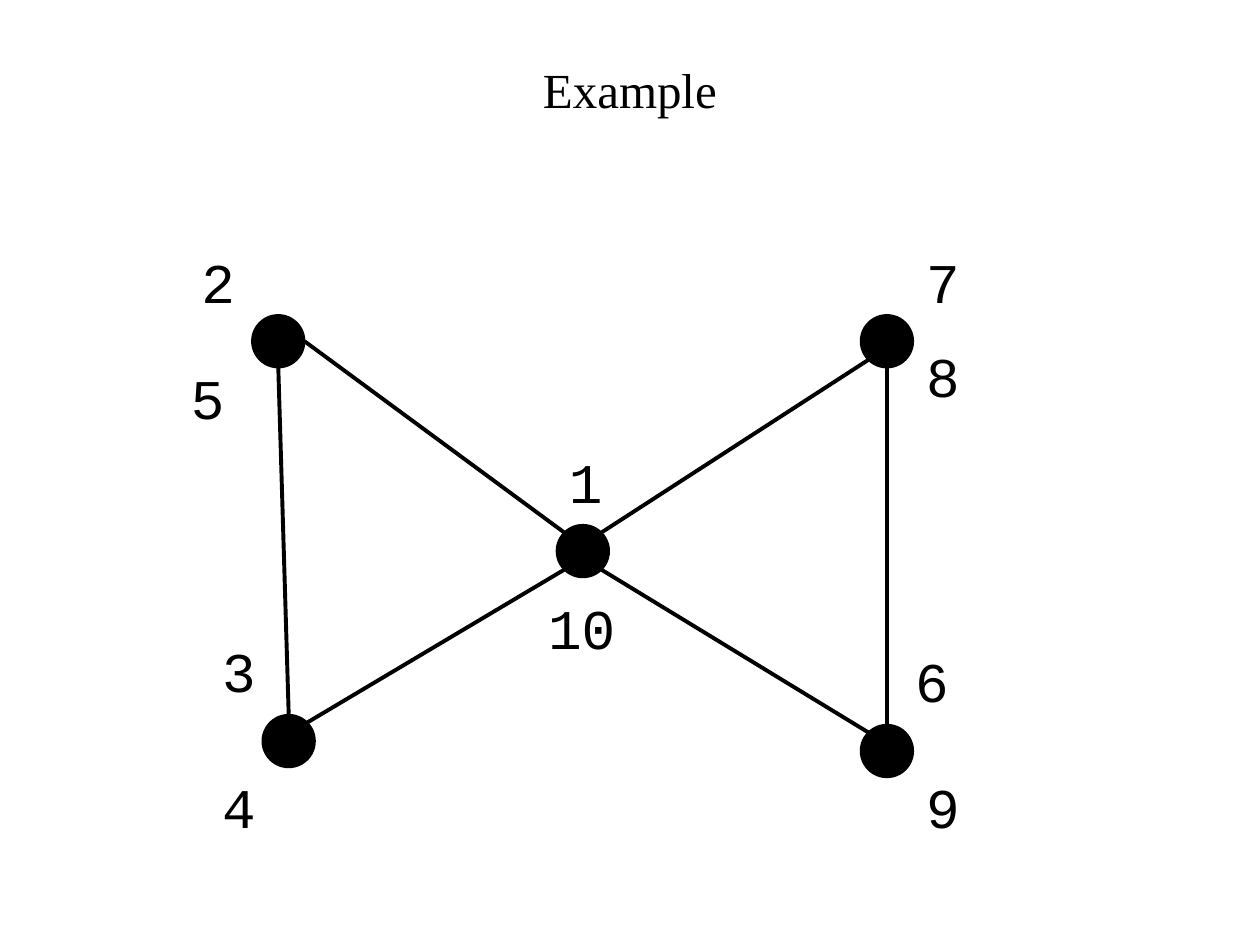
from math import cos, radians, sin

from lxml import etree
from pptx import Presentation
from pptx.dml.color import RGBColor
from pptx.enum.shapes import MSO_CONNECTOR, MSO_SHAPE
from pptx.enum.text import MSO_ANCHOR, MSO_AUTO_SIZE, PP_ALIGN
from pptx.oxml.ns import qn
from pptx.util import Cm, Pt

STRAIGHT = MSO_CONNECTOR.STRAIGHT
OVAL = MSO_SHAPE.OVAL
MIDDLE = MSO_ANCHOR.MIDDLE
GROW = MSO_AUTO_SIZE.SHAPE_TO_FIT_TEXT
LEFT, CENTER = PP_ALIGN.LEFT, PP_ALIGN.CENTER

THEME = {
    "ink": RGBColor(0, 0, 0),
    "title": ("Times New Roman", Pt(28)),
    "label": ("Courier New", Pt(32)),
    "outline": Pt(1),
    "edge": Pt(2.25),
}
TITLE = "Example"
DIAMETER = 1.06
LABEL_HEIGHT = 1.62
DIGIT_WIDTH, LABEL_PADDING = 0.85, 0.42

NODES = {
    "upper left": (5.61, 6.88),
    "lower left": (5.82, 14.94),
    "middle": (11.75, 11.11),
    "upper right": (17.88, 6.88),
    "lower right": (17.88, 15.14),
}
ANGLES = {"E": 0, "SE": 45, "S": 90, "SW": 135, "N": 270, "NW": 225, "NE": 315}
EDGES = [
    ("middle", "SW", "lower left", "NE"),
    ("upper left", "E", "middle", "NW"),
    ("upper right", "SW", "middle", "NE"),
    ("middle", "SE", "lower right", "NW"),
    ("upper left", "S", "lower left", "N"),
    ("upper right", "S", "lower right", "N"),
]
VISITS = [
    ("1", 11.22, 8.89),
    ("2", 3.81, 4.87),
    ("3", 4.23, 12.7),
    ("4", 4.23, 15.45),
    ("5", 3.6, 7.2),
    ("6", 18.2, 12.91),
    ("7", 18.42, 4.87),
    ("8", 18.42, 6.77),
    ("9", 18.42, 15.45),
    ("10", 10.8, 11.85),
]


def rim_point(node, side):
    """Return the point on a node's rim at the given compass side."""
    x, y = NODES[node]
    angle = radians(ANGLES[side])
    return Cm(x + DIAMETER / 2 * cos(angle)), Cm(y + DIAMETER / 2 * sin(angle))


def add_node(slide, x, y):
    """Draw a filled node centred at x, y."""
    node = slide.shapes.add_shape(
        OVAL, Cm(x - DIAMETER / 2), Cm(y - DIAMETER / 2), Cm(DIAMETER), Cm(DIAMETER)
    )
    node.shadow.inherit = False
    node.fill.solid()
    node.fill.fore_color.rgb = THEME["ink"]
    node.line.color.rgb = THEME["ink"]
    node.line.width = THEME["outline"]


def add_edge(slide, start, start_side, end, end_side):
    """Draw a line between the rims of two nodes."""
    edge = slide.shapes.add_connector(
        STRAIGHT, *rim_point(start, start_side), *rim_point(end, end_side)
    )
    edge.line.color.rgb = THEME["ink"]
    edge.line.width = THEME["edge"]
    etree.SubElement(edge._element.spPr, qn("a:effectLst"))


def add_text(slide, text, box, style, align):
    """Add one line of text in a theme style and return its frame."""
    frame = slide.shapes.add_textbox(*map(Cm, box)).text_frame
    frame.word_wrap = True
    paragraph = frame.paragraphs[0]
    paragraph.text = text
    paragraph.alignment = align
    paragraph.font.name, paragraph.font.size = THEME[style]
    paragraph.font.color.rgb = THEME["ink"]
    return frame


def main():
    """Build the slide with the numbered walk around the graph."""
    deck = Presentation()
    deck.slide_width, deck.slide_height = Cm(25.4), Cm(19.05)
    slide = deck.slides.add_slide(deck.slide_layouts[6])

    heading = add_text(slide, TITLE, (1.9, 1.06, 21.6, 1.48), "title", CENTER)
    heading.vertical_anchor = MIDDLE
    for centre in NODES.values():
        add_node(slide, *centre)
    for edge in EDGES:
        add_edge(slide, *edge)
    for number, left, top in VISITS:
        width = LABEL_PADDING + DIGIT_WIDTH * len(number)
        label = add_text(slide, number, (left, top, width, LABEL_HEIGHT), "label", LEFT)
        label.auto_size = GROW

    deck.save("out.pptx")


if __name__ == "__main__":
    main()
